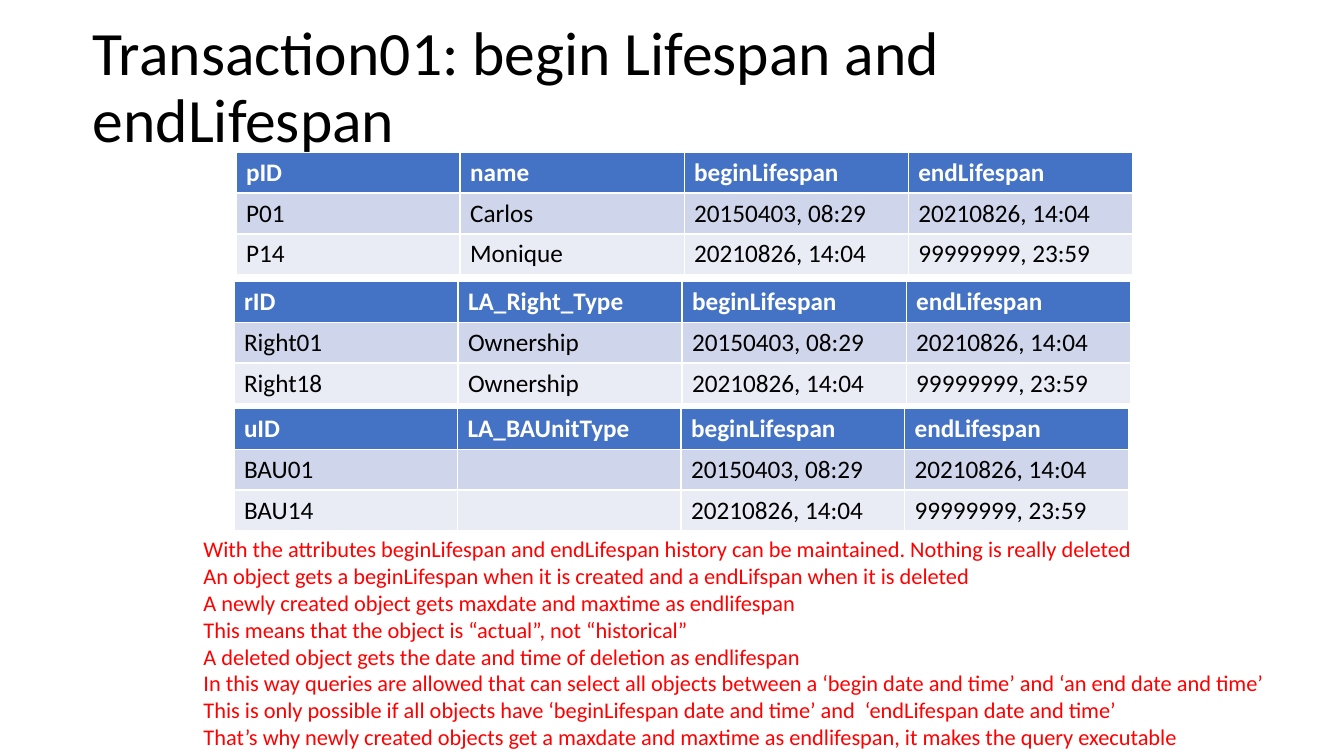
from pptx import Presentation
from pptx.dml.color import RGBColor
from pptx.enum.text import MSO_ANCHOR as Anchor, MSO_AUTO_SIZE as Fit, PP_ALIGN as Align
from pptx.util import Inches, Pt

FONT = "Calibri"
BLACK, WHITE, RED = "000000", "FFFFFF", "FF0000"
FILLS = ["4472C4", "CFD5EA", "E9EBF5"]

OLD, NOW, MAX = "20150403, 08:29", "20210826, 14:04", "99999999, 23:59"
SPAN = ["beginLifespan", "endLifespan"]
TABLES = [
    ((2.32, 2.79, 8.89, 1.21),
     [["rID", "LA_Right_Type"], ["Right01", "Ownership"], ["Right18", "Ownership"]]),
    ((2.34, 1.51, 8.89, 1.21),
     [["pID", "name"], ["P01", "Carlos"], ["P14", "Monique"]]),
    ((2.32, 4.05, 8.87, 1.21),
     [["uID", "LA_BAUnitType"], ["BAU01", ""], ["BAU14", ""]]),
]
NOTES = [
    "With the attributes beginLifespan and endLifespan history can be maintained. "
    "Nothing is really deleted",
    "An object gets a beginLifespan when it is created and a endLifspan when it is deleted",
    "A newly created object gets maxdate and maxtime as endlifespan",
    "This means that the object is “actual”, not “historical”",
    "A deleted object gets the date and time of deletion as endlifespan",
    "In this way queries are allowed that can select all objects between a "
    "‘begin date and time’ and ‘an end date and time’",
    "This is only possible if all objects have ‘beginLifespan date and time’ and  "
    "‘endLifespan date and time’",
    "That’s why newly created objects get a maxdate and maxtime as endlifespan, "
    "it makes the query executable",
]


def color(code):
    return RGBColor.from_string(code)


def style(frame, size, code, bold=False):
    for para in frame.paragraphs:
        for run in para.runs:
            font = run.font
            font.name, font.size, font.bold = FONT, Pt(size), bold
            font.color.rgb = color(code)


def add_title(slide, box, text):
    title = slide.shapes.title
    title.left, title.top, title.width, title.height = map(Inches, box)
    frame = title.text_frame
    frame.text = text
    frame.auto_size = Fit.NONE
    frame.vertical_anchor = Anchor.MIDDLE
    para = frame.paragraphs[0]
    para.alignment = Align.LEFT
    para.line_spacing = 0.9
    style(frame, 44, BLACK)


def add_grid(slide, box, rows):
    """Add a table; the default table style supplies its white borders."""
    rows = [keys + span for keys, span in zip(rows, [SPAN, [OLD, NOW], [NOW, MAX]])]
    table = slide.shapes.add_table(len(rows), len(rows[0]), *map(Inches, box)).table
    for r, row in enumerate(rows):
        head = r == 0
        for c, text in enumerate(row):
            cell = table.cell(r, c)
            cell.text = text
            cell.fill.solid()
            cell.fill.fore_color.rgb = color(FILLS[r])
            style(cell.text_frame, 18, WHITE if head else BLACK, head)


def add_notes(slide, box, lines):
    frame = slide.shapes.add_textbox(*map(Inches, box)).text_frame
    frame.word_wrap = True
    frame.auto_size = Fit.SHAPE_TO_FIT_TEXT
    frame.text = "\n".join(lines)
    style(frame, 16, RED)


def main():
    deck = Presentation()
    deck.slide_width, deck.slide_height = Inches(13.33), Inches(7.5)
    slide = deck.slides.add_slide(deck.slide_layouts[5])
    add_title(slide, (0.82, 0.16, 11.5, 1.45),
              "Transaction01: begin Lifespan and endLifespan")
    for box, rows in TABLES:
        add_grid(slide, box, rows)
    add_notes(slide, (1.92, 5.26, 11.33, 2.79), NOTES)
    deck.save("out.pptx")


if __name__ == "__main__":
    main()
